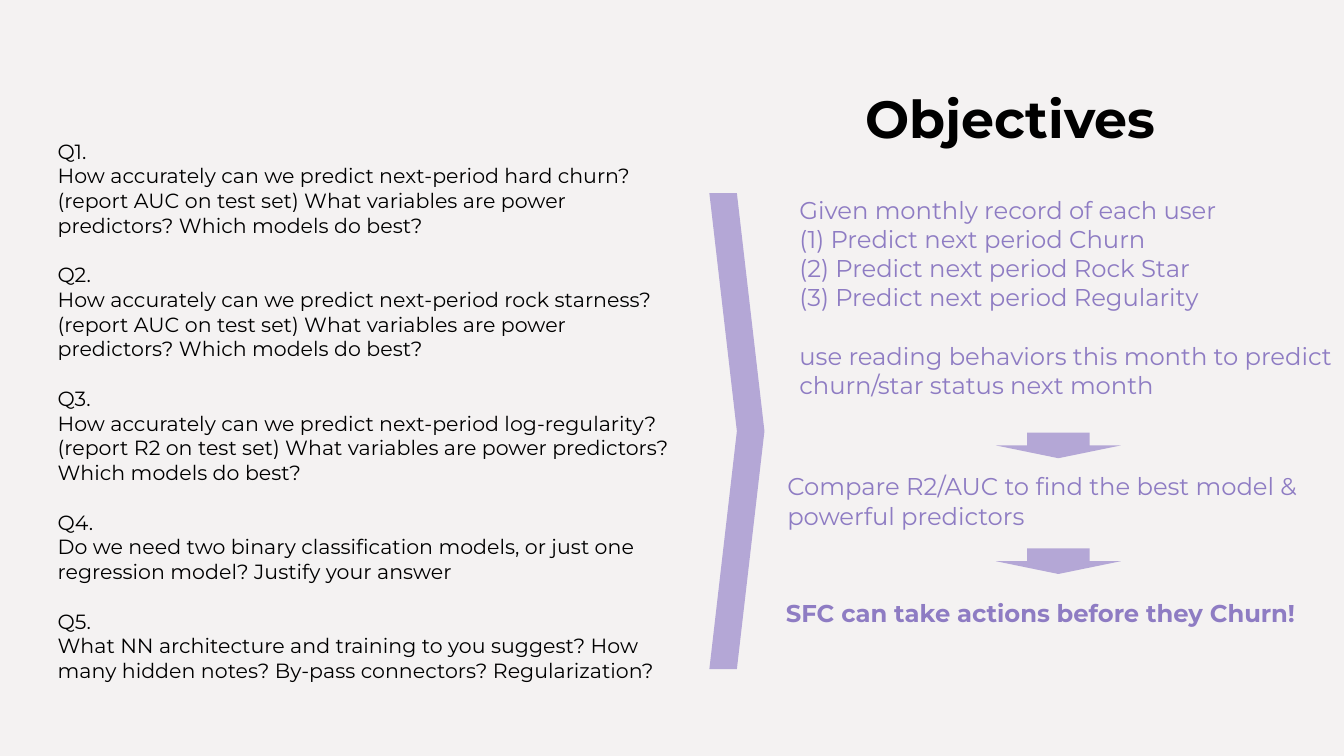
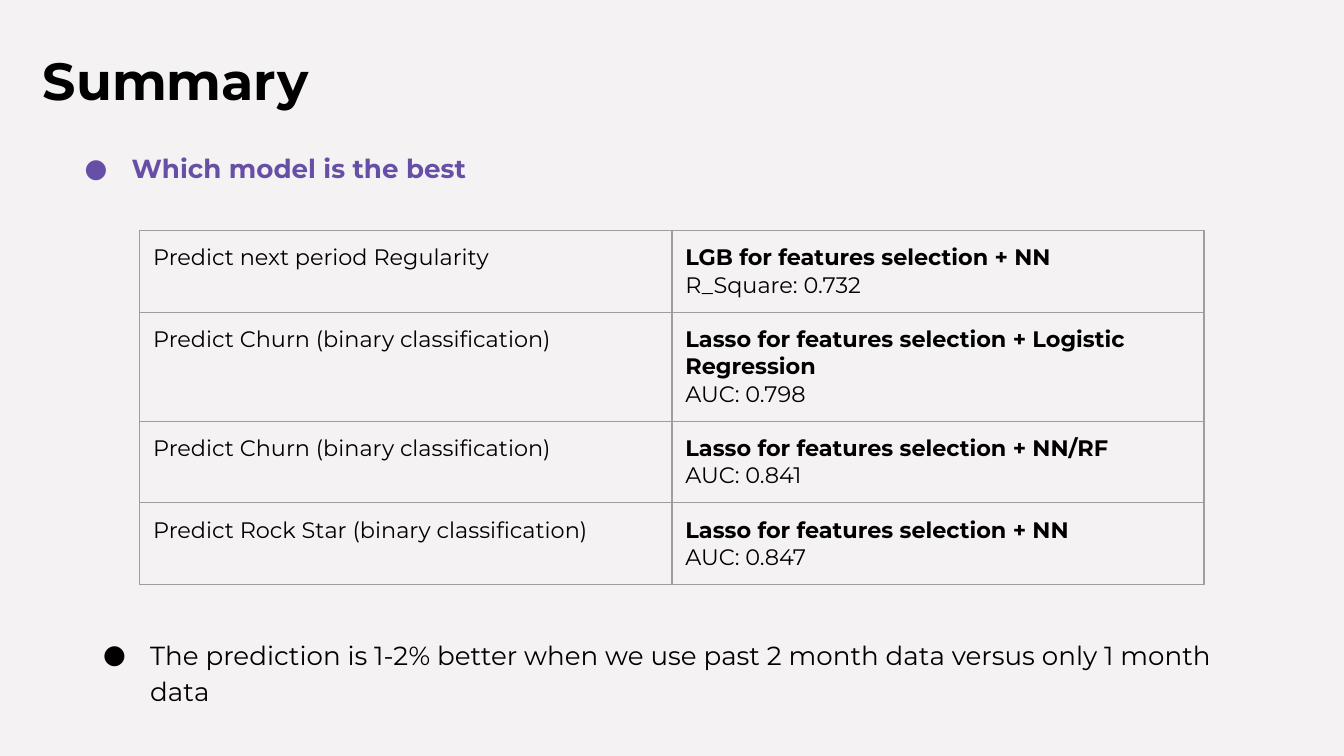
from lxml.etree import SubElement
from pptx import Presentation
from pptx.dml.color import RGBColor
from pptx.enum.shapes import MSO_SHAPE as Preset
from pptx.enum.text import MSO_ANCHOR as Anchor, MSO_AUTO_SIZE as AutoSize, PP_ALIGN as Align
from pptx.oxml.ns import qn
from pptx.util import Pt

FONT = "Montserrat"
COLORS = {
    "background": "F4F2F2",
    "ink": "000000",
    "lilac": "8E7CC3",
    "arrow": "B4A7D6",
    "violet": "674EA7",
    "border": "9E9E9E",
}
INSET = 7.2
LINE = 1.22

QUESTIONS = [
    "How accurately can we predict next-period hard churn? (report AUC on test set) "
    "What variables are power predictors? Which models do best?",
    "How accurately can we predict next-period rock starness? (report AUC on test set) "
    "What variables are power predictors? Which models do best?",
    "How accurately can we predict next-period log-regularity? (report R2 on test set) "
    "What variables are power predictors? Which models do best?",
    "Do we need two binary classification models, or just one regression model? "
    "Justify your answer",
    "What NN architecture and training to you suggest? How many hidden notes? "
    "By-pass connectors? Regularization?",
]
GOALS = [
    "Given monthly record of each user",
    "(1) Predict next period Churn",
    "(2) Predict next period Rock Star",
    "(3) Predict next period Regularity",
    "use reading behaviors this month to predict churn/star status next month",
]
RESULTS = [
    ("Predict next period Regularity", "LGB for features selection + NN", "R_Square: 0.732", 2),
    ("Predict Churn (binary classification)",
     "Lasso for features selection + Logistic Regression", "AUC: 0.798", 3),
    ("Predict Churn (binary classification)",
     "Lasso for features selection + NN/RF", "AUC: 0.841", 2),
    ("Predict Rock Star (binary classification)",
     "Lasso for features selection + NN", "AUC: 0.847", 2),
]


def rgb(name):
    """Return the named colour."""
    return RGBColor.from_string(COLORS[name])


def style_font(font, size, color="ink", bold=False):
    """Apply the deck's typeface with the given size, colour and weight."""
    font.name = FONT
    font.size = Pt(size)
    font.bold = bold
    font.color.rgb = rgb(color)


def write(text_frame, lines, size, color="ink", bold=False):
    """Fill a top-anchored, wrapping text frame and return its paragraphs."""
    text_frame.text = "\n".join(lines)
    text_frame.word_wrap = True
    text_frame.auto_size = AutoSize.NONE
    text_frame.vertical_anchor = Anchor.TOP
    text_frame.margin_left = text_frame.margin_right = Pt(INSET)
    text_frame.margin_top = text_frame.margin_bottom = Pt(INSET)
    for paragraph in text_frame.paragraphs:
        paragraph.alignment = Align.LEFT
        for run in paragraph.runs:
            style_font(run.font, size, color, bold)
    return text_frame.paragraphs


def add_text(slide, box, lines, size, color="ink", bold=False):
    """Add a text box and return its paragraphs."""
    shape = slide.shapes.add_textbox(*map(Pt, box))
    return write(shape.text_frame, lines, size, color, bold)


def add_titled_slide(presentation, title, box):
    """Add a title-only slide with its title placed in the box."""
    slide = presentation.slides.add_slide(presentation.slide_layouts[5])
    shape = slide.shapes.title
    shape.left, shape.top, shape.width, shape.height = map(Pt, box)
    write(shape.text_frame, [title], 28, bold=True)
    return slide


def add_arrow(slide, preset, box):
    """Add a flat lilac arrow shape."""
    shape = slide.shapes.add_shape(preset, *map(Pt, box))
    shape.shadow.inherit = False
    shape.fill.solid()
    shape.fill.fore_color.rgb = rgb("arrow")
    shape.line.fill.background()


def add_questions(slide, box):
    """List the numbered questions, one blank line's height apart."""
    size = 11
    lines = [line for number, question in enumerate(QUESTIONS, 1)
             for line in (f"Q{number}.", question)]
    paragraphs = add_text(slide, box, lines, size)
    for heading in paragraphs[2::2]:
        heading.space_before = Pt(size * LINE)


def add_goal_flow(slide, box):
    """Stack the goals, the comparison and the outcome, with arrows between."""
    left, top, width, height = box
    size = 13
    goals = add_text(slide, (left + 14.4, top, width, height), GOALS, size, "lilac")
    goals[-1].space_before = Pt(size * LINE)
    add_text(slide, (left + 7.9, top + 148.3, width, height),
             ["Compare R2/AUC to find the best model & powerful predictors"], size, "lilac")
    for arrow_top in (134.6, 196.6):
        add_arrow(slide, Preset.DOWN_ARROW, (left + 126.7, top + arrow_top, 67, 13.7))
    outcome = add_text(slide, (left, top + 216, width, height),
                       ["SFC can take actions before they Churn!"], size, "lilac", True)
    outcome[0].alignment = Align.CENTER


def add_bullet(slide, box, text, color="ink", bold=False):
    """Add a one-item bulleted text box."""
    paragraph = add_text(slide, box, [text], 14, color, bold)[0]
    properties = paragraph._p.get_or_add_pPr()
    properties.set("marL", str(Pt(36)))
    properties.set("indent", str(Pt(-25.2)))
    bullet_color = SubElement(properties, qn("a:buClr"))
    SubElement(bullet_color, qn("a:srgbClr"), val=COLORS[color])
    SubElement(properties, qn("a:buFont"), typeface=FONT)
    SubElement(properties, qn("a:buChar"), char="●")
    paragraph.line_spacing = 1.15


def add_borders(cell):
    """Draw thin grey borders on every side of a cell."""
    properties = cell._tc.get_or_add_tcPr()
    for side in ("lnL", "lnR", "lnT", "lnB"):
        line = SubElement(properties, qn(f"a:{side}"), w=str(Pt(0.75)))
        fill = SubElement(line, qn("a:solidFill"))
        SubElement(fill, qn("a:srgbClr"), val=COLORS["border"])


def fill_cell(cell, lines):
    """Write lines in an unfilled, bordered cell."""
    cell.text = "\n".join(lines)
    cell.margin_left = cell.margin_right = Pt(INSET)
    cell.margin_top = cell.margin_bottom = Pt(INSET)
    add_borders(cell)
    cell.fill.background()
    for index, paragraph in enumerate(cell.text_frame.paragraphs):
        bold = len(lines) > 1 and index == 0
        style_font(paragraph.runs[0].font, 12, bold=bold)


def add_results(slide, box):
    """Tabulate the best model and its score for each prediction."""
    table = slide.shapes.add_table(len(RESULTS), 2, *map(Pt, box)).table
    table.first_row = table.horz_banding = False
    for row, (task, model, score, line_count) in enumerate(RESULTS):
        table.rows[row].height = Pt(12 * LINE * line_count + 2 * INSET)
        fill_cell(table.cell(row, 0), [task])
        fill_cell(table.cell(row, 1), [model, score])


def build_objectives(presentation):
    """Build the slide that leads from questions to objectives."""
    slide = add_titled_slide(presentation, "Objectives", (456.5, 38.9, 202.3, 53.3))
    add_questions(slide, (23.8, 67, 350.6, 294.5))
    add_arrow(slide, Preset.CHEVRON, (380, 103.5, 29.5, 255))
    add_goal_flow(slide, (406.8, 97.2, 301, 48.2))


def build_summary(presentation):
    """Build the slide that compares the models."""
    slide = add_titled_slide(presentation, "Summary", (15.8, 18.7, 510.5, 53.3))
    add_bullet(slide, (27.4, 72, 640.8, 306.7), "Which model is the best", "violet", True)
    add_results(slide, (74.9, 123.5, 570.2, 189))
    add_bullet(slide, (37.4, 332.6, 619.9, 58.3),
               "The prediction is 1-2% better when we use past 2 month data "
               "versus only 1 month data")


def main():
    """Build and save the presentation."""
    presentation = Presentation()
    presentation.slide_width, presentation.slide_height = Pt(720), Pt(405)
    background = presentation.slide_master.background.fill
    background.solid()
    background.fore_color.rgb = rgb("background")
    build_objectives(presentation)
    build_summary(presentation)
    presentation.save("out.pptx")


if __name__ == "__main__":
    main()
